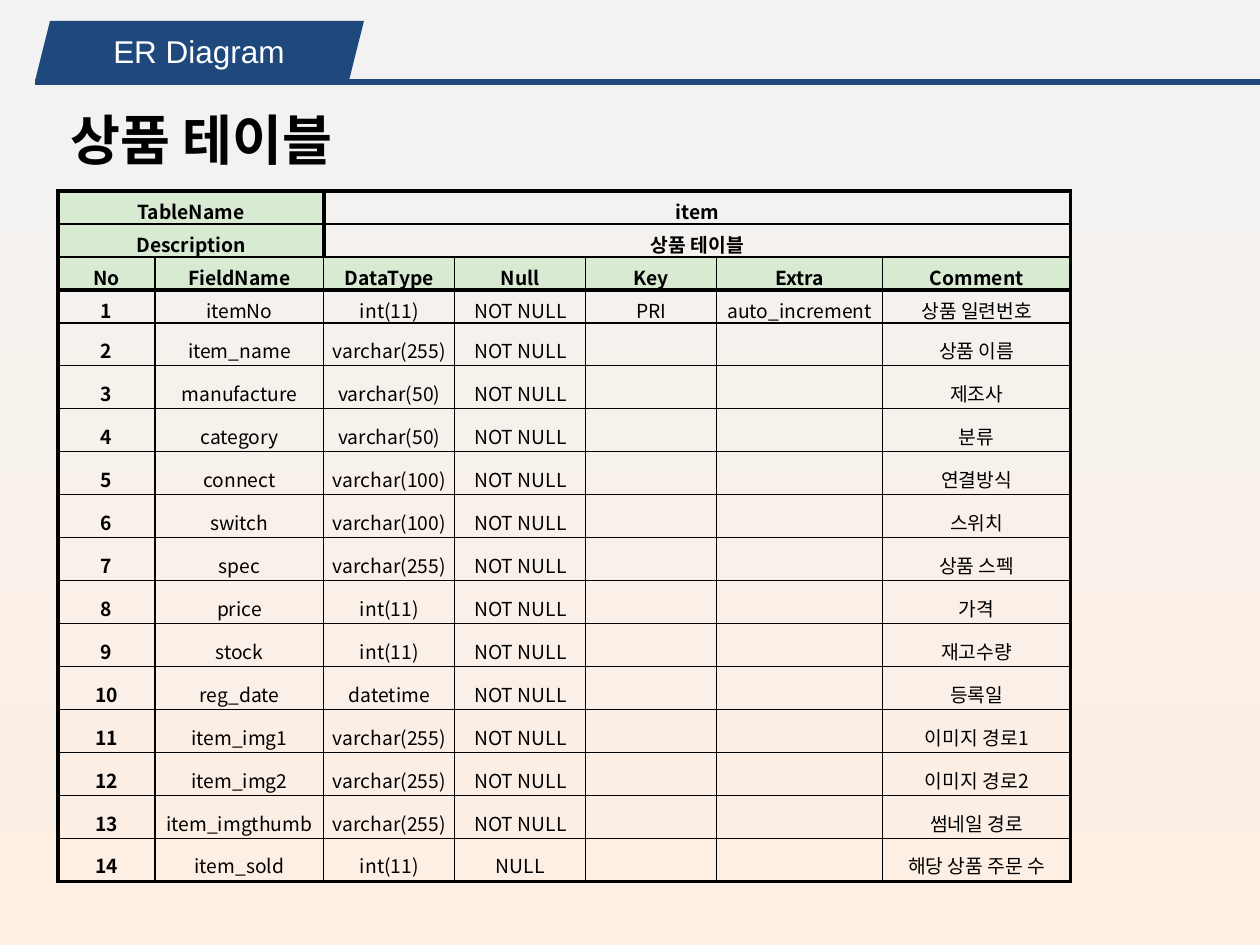
import dataclasses

import pptx
import pptx.dml.color
import pptx.enum.shapes
import pptx.enum.text
import pptx.oxml
import pptx.oxml.ns
import pptx.util

EMU_PER_PX = 914400 // 126
SLIDE_SIZE = (1260, 945)
COLUMN_WIDTHS = [97, 169, 131, 131, 131, 166, 188]
TABLE_ORIGIN = (58, 191)
HEADING_ROWS = 3
SHORT_ROWS = 4
SHORT_HEIGHT = 33
TALL_HEIGHT = 43

SUMMARY = [("TableName", "item"), ("Description", "상품 테이블")]
HEADINGS = ["No", "FieldName", "DataType", "Null", "Key", "Extra", "Comment"]
FIELDS = [
    ("itemNo", "int(11)", "NOT NULL", "PRI", "auto_increment", "상품 일련번호"),
    ("item_name", "varchar(255)", "NOT NULL", "", "", "상품 이름"),
    ("manufacture", "varchar(50)", "NOT NULL", "", "", "제조사"),
    ("category", "varchar(50)", "NOT NULL", "", "", "분류"),
    ("connect", "varchar(100)", "NOT NULL", "", "", "연결방식"),
    ("switch", "varchar(100)", "NOT NULL", "", "", "스위치"),
    ("spec", "varchar(255)", "NOT NULL", "", "", "상품 스펙"),
    ("price", "int(11)", "NOT NULL", "", "", "가격"),
    ("stock", "int(11)", "NOT NULL", "", "", "재고수량"),
    ("reg_date", "datetime", "NOT NULL", "", "", "등록일"),
    ("item_img1", "varchar(255)", "NOT NULL", "", "", "이미지 경로1"),
    ("item_img2", "varchar(255)", "NOT NULL", "", "", "이미지 경로2"),
    ("item_imgthumb", "varchar(255)", "NOT NULL", "", "", "썸네일 경로"),
    ("item_sold", "int(11)", "NULL", "", "", "해당 상품 주문 수"),
]


@dataclasses.dataclass(frozen=True)
class Theme:
    navy: str = "1F497D"
    white: str = "FFFFFF"
    black: str = "000000"
    heading_fill: str = "D9EAD3"
    background_top: str = "F2F2F2"
    background_bottom: str = "FDEFE3"
    title_font: str = "Arial"
    table_font: str = "Noto Sans CJK KR"
    tab_size: int = 18
    title_size: int = 31
    table_size: int = 11
    thin: float = 0.75
    heavy: float = 2.25
    rule: float = 3


THEME = Theme()


def px(length):
    return pptx.util.Emu(length * EMU_PER_PX)


def rgb(value):
    return pptx.dml.color.RGBColor.from_string(value)


def set_font(paragraph, name, size, color, bold=False):
    font = paragraph.font
    font.name = name
    font.size = pptx.util.Pt(size)
    font.bold = bold
    font.color.rgb = rgb(color)


def paint_background(slide):
    fill = slide.background.fill
    fill.gradient()
    fill.gradient_angle = 270
    for stop, color in zip(fill.gradient_stops, (THEME.background_top, THEME.background_bottom)):
        stop.color.rgb = rgb(color)


def add_rule(slide, start, end):
    rule = slide.shapes.add_connector(
        pptx.enum.shapes.MSO_CONNECTOR.STRAIGHT, *map(px, start + end))
    rule.line.color.rgb = rgb(THEME.navy)
    rule.line.width = pptx.util.Pt(THEME.rule)
    properties = rule._element.spPr
    properties.append(pptx.oxml.parse_xml(f"<a:effectLst {pptx.oxml.ns.nsdecls('a')}/>"))


def add_tab(slide, box):
    tab = slide.shapes.add_shape(pptx.enum.shapes.MSO_SHAPE.PARALLELOGRAM, *map(px, box))
    tab.adjustments[0] = 0.25
    tab.shadow.inherit = False
    tab.fill.solid()
    tab.fill.fore_color.rgb = rgb(THEME.navy)
    tab.line.fill.background()


def add_label(slide, box, text, size, color, bold=False, centred=False):
    frame = slide.shapes.add_textbox(*map(px, box)).text_frame
    frame.word_wrap = True
    paragraph = frame.paragraphs[0]
    paragraph.text = text
    set_font(paragraph, THEME.title_font, size, color, bold)
    if centred:
        frame.vertical_anchor = pptx.enum.text.MSO_ANCHOR.MIDDLE
        paragraph.alignment = pptx.enum.text.PP_ALIGN.CENTER


def set_borders(cell, heavy_sides):
    properties = cell._tc.get_or_add_tcPr()
    for position, side in enumerate("LRTB"):
        points = THEME.heavy if side in heavy_sides else THEME.thin
        properties.insert(position, pptx.oxml.parse_xml(
            f'<a:ln{side} {pptx.oxml.ns.nsdecls("a")} w="{pptx.util.Pt(points)}">'
            f'<a:solidFill><a:srgbClr val="{THEME.black}"/></a:solidFill></a:ln{side}>'))


def heavy_sides_at(row, column, last_row, last_column):
    in_summary = row < len(SUMMARY)
    rules = {
        "L": column == 0 or in_summary,
        "R": column == last_column or in_summary,
        "T": row in (0, HEADING_ROWS),
        "B": row in (HEADING_ROWS - 1, last_row),
    }
    return [side for side, heavy in rules.items() if heavy]


def fill_cell(cell, text, bold, shaded):
    cell.margin_left = cell.margin_right = px(4)
    cell.margin_top = cell.margin_bottom = px(2)
    cell.vertical_anchor = pptx.enum.text.MSO_ANCHOR.BOTTOM
    paragraph = cell.text_frame.paragraphs[0]
    paragraph.text = text
    paragraph.alignment = pptx.enum.text.PP_ALIGN.CENTER
    paragraph.line_spacing = 1.15
    set_font(paragraph, THEME.table_font, THEME.table_size, THEME.black, bold)
    if shaded:
        cell.fill.solid()
        cell.fill.fore_color.rgb = rgb(THEME.heading_fill)
    else:
        cell.fill.background()


def add_field_table(slide):
    rows = [(label, "", value, "", "", "", "") for label, value in SUMMARY]
    rows.append(HEADINGS)
    rows += [(str(number), *field) for number, field in enumerate(FIELDS, 1)]
    heights = [SHORT_HEIGHT if row < SHORT_ROWS else TALL_HEIGHT for row in range(len(rows))]
    last_row, last_column = len(rows) - 1, len(COLUMN_WIDTHS) - 1

    table = slide.shapes.add_table(
        len(rows), len(COLUMN_WIDTHS), *map(px, TABLE_ORIGIN),
        px(sum(COLUMN_WIDTHS)), px(sum(heights))).table
    table.first_row = table.horz_banding = False
    for column, width in zip(table.columns, COLUMN_WIDTHS):
        column.width = px(width)
    for table_row, height in zip(table.rows, heights):
        table_row.height = px(height)

    for row, texts in enumerate(rows):
        for column, text in enumerate(texts):
            cell = table.cell(row, column)
            bold = row < HEADING_ROWS or column == 0
            shaded = row == HEADING_ROWS - 1 or (row < len(SUMMARY) and column < 2)
            fill_cell(cell, text, bold, shaded)
            set_borders(cell, heavy_sides_at(row, column, last_row, last_column))
    for row in range(len(SUMMARY)):
        table.cell(row, 0).merge(table.cell(row, 1))
        table.cell(row, 2).merge(table.cell(row, last_column))


def main():
    deck = pptx.Presentation()
    deck.slide_width, deck.slide_height = map(px, SLIDE_SIZE)
    slide = deck.slides.add_slide(deck.slide_layouts[6])
    paint_background(slide)
    add_rule(slide, (1260, 82), (35, 82))
    add_tab(slide, (35, 21, 329, 60))
    add_label(slide, (43, 16, 312, 70), "ER Diagram", THEME.tab_size, THEME.white, centred=True)
    add_label(slide, (58, 100, 436, 78), "상품 테이블", THEME.title_size, THEME.black, bold=True)
    add_field_table(slide)
    deck.save("out.pptx")


if __name__ == "__main__":
    main()
